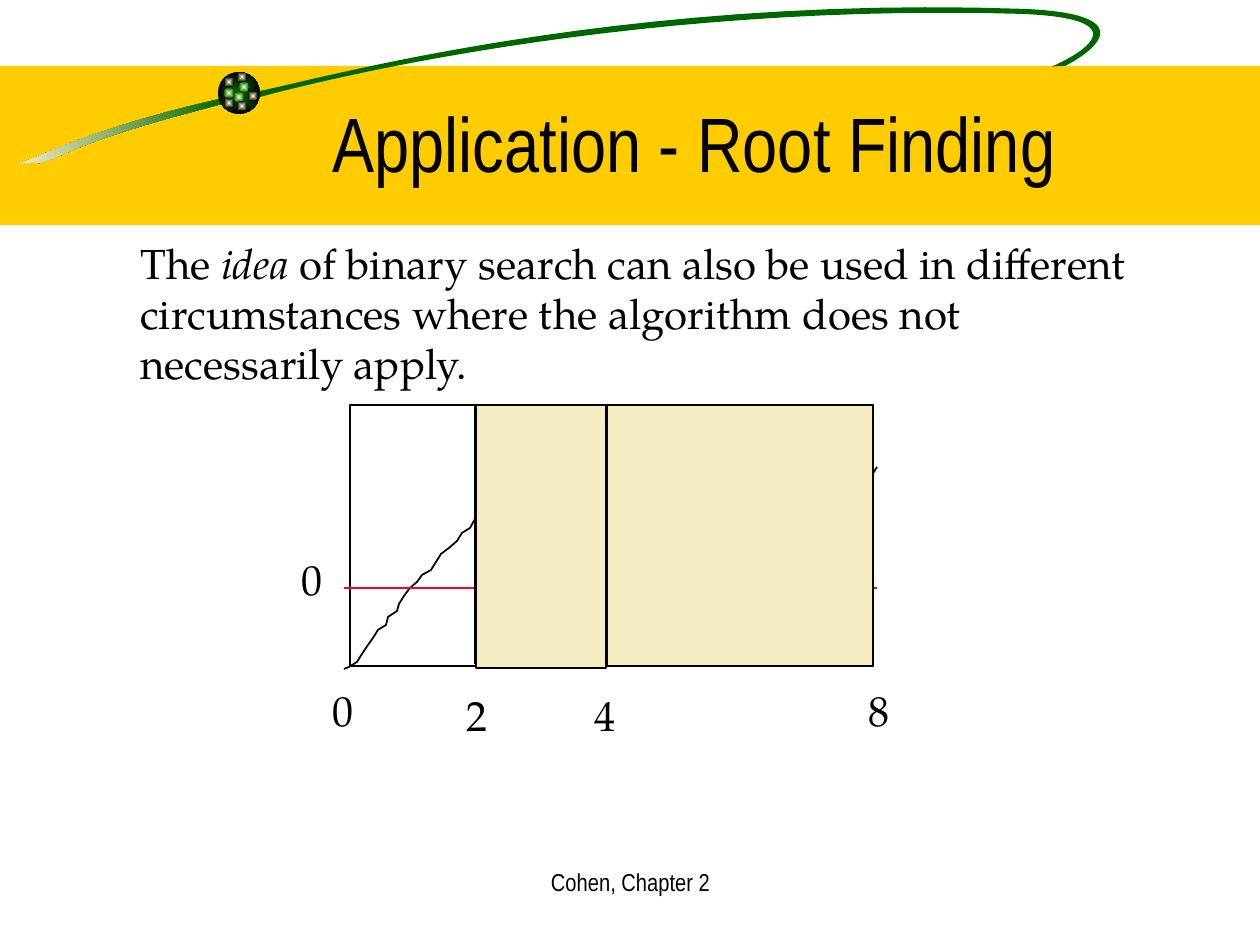
from lxml.etree import SubElement
from pptx import Presentation
from pptx.dml.color import RGBColor
from pptx.enum.shapes import MSO_CONNECTOR as Connector, MSO_SHAPE as Preset
from pptx.enum.text import MSO_ANCHOR as Anchor, MSO_AUTO_SIZE as AutoSize, PP_ALIGN as Align
from pptx.oxml.ns import qn
from pptx.util import Emu, Pt

SCALE = 914400 / 126
BLACK, GREEN, GOLD, CREAM, GLOW, RED = "000000", "006600", "FFCC00", "F5EBC1", "FFFFCC", "FC0128"
SERIF, NARROW = "TeX Gyre Pagella", "Arial Narrow"

PLOT_LEFT, PLOT_TOP, PLOT_RIGHT, PLOT_BOTTOM = 350, 405, 873, 666
AXIS_Y = 588

TAIL_START = (224, 98)
TAIL_CURVES = [
    [(115, 123), (62, 146), (32, 159)],
    [(1, 169), (33, 159), (39, 163)],
    [(72, 154), (72, 142), (226, 103)],
]
LOOP_START = (255, 92)
LOOP_CURVES = [
    [(310, 82), (612, -6), (1026, 9)],
    [(1155, 15), (1080, 59), (1065, 66)],
    [(1065, 66), (1056, 66), (1051, 67)],
    [(1063, 62), (1154, 20), (1024, 14)],
    [(690, 4), (403, 59), (260, 97)],
]
SPARKS = [
    (239, 82, GREEN), (224, 77, BLACK), (224, 88, GREEN), (234, 92, GREEN),
    (248, 91, BLACK), (237, 101, BLACK), (224, 98, BLACK), (237, 72, BLACK),
]
FUNCTION_POINTS = [
    (344, 669), (349, 667), (357, 662), (362, 654), (368, 645), (373, 638), (378, 630),
    (386, 625), (388, 617), (397, 611), (399, 604), (404, 596), (410, 588), (417, 582),
    (422, 575), (431, 570), (436, 562), (441, 554), (449, 548), (457, 541), (462, 533),
    (470, 528), (475, 519), (483, 514), (489, 507), (496, 501), (504, 496), (512, 491),
    (520, 485), (528, 480), (536, 478), (543, 475), (552, 475), (559, 473), (567, 473),
    (575, 475), (583, 478), (591, 478), (599, 480), (606, 483), (609, 491), (617, 494),
    (625, 499), (633, 504), (638, 512), (640, 519), (649, 523), (651, 530), (659, 533),
    (664, 541), (672, 546), (680, 551), (688, 557), (696, 562), (703, 564), (712, 567),
    (719, 570), (727, 572), (735, 572), (743, 567), (751, 572), (759, 572), (766, 572),
    (775, 567), (782, 564), (790, 562), (798, 562), (806, 557), (814, 554), (819, 546),
    (827, 541), (829, 533), (835, 525), (840, 517), (848, 512), (851, 504), (858, 499),
    (861, 491), (867, 483), (872, 475), (877, 467),
]


def px(length):
    return Emu(round(length * SCALE))


def color(value):
    return RGBColor.from_string(value)


def trace(start, curves, steps=24):
    """Return points along a chain of cubic Bezier curves."""
    points = [start]
    for first, second, end in curves:
        origin = points[-1]
        for step in range(1, steps + 1):
            t = step / steps
            weights = ((1 - t) ** 3, 3 * t * (1 - t) ** 2, 3 * t * t * (1 - t), t ** 3)
            corners = (origin, first, second, end)
            points.append(tuple(sum(w * c[axis] for w, c in zip(weights, corners))
                                for axis in (0, 1)))
    return points


def write(shape, *pieces, size=24, font=SERIF, align=Align.LEFT, anchor=Anchor.TOP, wrap=True):
    """Fill a shape with one paragraph; each piece is text or (text, italic)."""
    frame = shape.text_frame
    frame.auto_size = AutoSize.NONE
    frame.word_wrap = wrap
    frame.vertical_anchor = anchor
    para = frame.paragraphs[0]
    para.alignment = align
    for piece in pieces:
        text, italic = piece if isinstance(piece, tuple) else (piece, False)
        span = para.add_run()
        span.text = text
        span.font.name = font
        span.font.size = Pt(size)
        span.font.italic = italic
        span.font.color.rgb = color(BLACK)


class Page:
    def __init__(self, slide, line_width=1):
        self.slide = slide
        self.shapes = slide.shapes
        self.line_width = Pt(line_width)

    def paint(self, shape, fill=None, line=None):
        """Apply a solid colour, a (start, end) gradient or no fill, and the outline."""
        shape.shadow.inherit = False
        if fill is None:
            shape.fill.background()
        elif isinstance(fill, tuple):
            shape.fill.gradient()
            for stop, value, position in zip(shape.fill.gradient_stops, fill, (0, 1)):
                stop.color.rgb = color(value)
                stop.position = position
        else:
            shape.fill.solid()
            shape.fill.fore_color.rgb = color(fill)
        if line:
            shape.line.color.rgb = color(line)
            shape.line.width = self.line_width
        else:
            shape.line.fill.background()
        return shape

    def box(self, left, top, width, height, fill=None, line=None, preset=Preset.RECTANGLE):
        shape = self.shapes.add_shape(preset, px(left), px(top), px(width), px(height))
        return self.paint(shape, fill, line)

    def ball(self, left, top, size, center, edge):
        """Draw a circle shaded from its center outwards."""
        shape = self.box(left, top, size, size, (center, edge), preset=Preset.OVAL)
        gradient = shape.element.spPr.find(qn("a:gradFill"))
        gradient.remove(gradient.find(qn("a:lin")))
        shade = SubElement(gradient, qn("a:path"), path="rect")
        SubElement(shade, qn("a:fillToRect"), l="50000", t="50000", r="50000", b="50000")

    def outline(self, points, fill=None, line=None, close=False):
        scaled = [(px(x), px(y)) for x, y in points]
        builder = self.shapes.build_freeform(*scaled[0], scale=1.0)
        builder.add_line_segments(scaled[1:], close=close)
        return self.paint(builder.convert_to_shape(), fill, line)

    def line(self, x1, y1, x2, y2, stroke=BLACK):
        connector = self.shapes.add_connector(Connector.STRAIGHT, px(x1), px(y1), px(x2), px(y2))
        connector.line.color.rgb = color(stroke)
        connector.line.width = self.line_width
        SubElement(connector.element.spPr, qn("a:effectLst"))

    def title(self, text, left, top, width, height):
        title = self.shapes.title
        title.left, title.top, title.width, title.height = map(px, (left, top, width, height))
        title.element.getparent().append(title.element)  # bring above the banner
        write(title, text, size=44, font=NARROW, align=Align.CENTER, anchor=Anchor.MIDDLE)

    def text(self, left, top, width, height, *pieces, **style):
        write(self.shapes.add_textbox(px(left), px(top), px(width), px(height)), *pieces, **style)

    def label(self, left, top, text):
        self.text(left, top, 49, 63, text, wrap=False)


def draw_banner(page):
    page.box(0, 66, 1260, 159, GOLD)
    tail = page.outline(trace(TAIL_START, TAIL_CURVES), (GREEN, CREAM), close=True)
    tail.fill.gradient_angle = 180
    page.outline(trace(LOOP_START, LOOP_CURVES), GREEN, close=True)
    page.ball(218, 72, 42, GREEN, BLACK)
    for left, top, edge in SPARKS:
        page.ball(left, top, 10, GLOW, edge)


def draw_plot(page):
    height = PLOT_BOTTOM - PLOT_TOP
    page.outline(FUNCTION_POINTS, line=BLACK)
    page.box(PLOT_LEFT, PLOT_TOP, PLOT_RIGHT - PLOT_LEFT, height, line=BLACK)
    page.line(344, AXIS_Y, 877, AXIS_Y, RED)
    page.label(289, 547, "0")
    page.label(320, 678, "0")
    page.label(856, 678, "8")
    discarded = [("4", 582, 606, PLOT_RIGHT, height), ("2", 454, 475, 606, height + 2)]
    for text, label_left, left, right, depth in discarded:
        page.line(left, 664, left, 404)
        page.label(label_left, 683, text)
        page.box(left + 1, PLOT_TOP, right - left - 1, depth, CREAM, BLACK)


def main():
    deck = Presentation()
    deck.slide_width, deck.slide_height = px(1260), px(945)
    page = Page(deck.slides.add_slide(deck.slide_layouts[5]))
    draw_banner(page)
    page.title("Application - Root Finding", 159, 63, 1071, 157)
    draw_plot(page)
    page.text(128, 231, 1027, 164, "The ", ("idea", True),
              " of binary search can also be used in different circumstances"
              " where the algorithm does not necessarily apply.")
    page.text(431, 861, 399, 63, "Cohen, Chapter 2", size=14, font=NARROW, align=Align.CENTER)
    deck.save("out.pptx")


if __name__ == "__main__":
    main()
